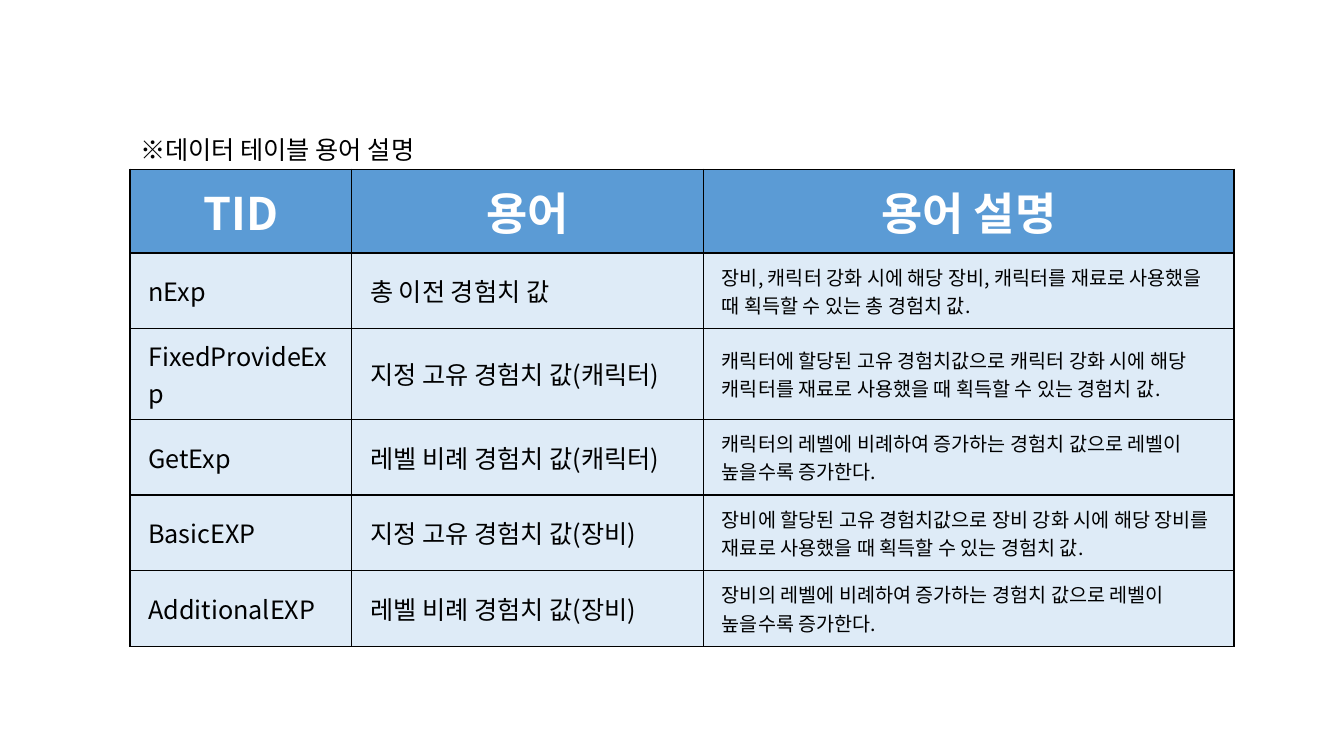
from lxml.etree import SubElement
from pptx import Presentation
from pptx.dml.color import RGBColor
from pptx.enum.text import MSO_ANCHOR as Anchor, MSO_AUTO_SIZE as AutoSize, PP_ALIGN as Align
from pptx.oxml.ns import qn
from pptx.util import Inches, Pt

FONT = "Noto Sans CJK KR"
BLACK, WHITE, HEADER_BLUE, PALE_BLUE = "000000", "FFFFFF", "5B9BD5", "DEEBF7"
COLUMN_WIDTHS = (2.2, 3.49, 5.26)
ROW_HEIGHTS = (0.83, 0.75, 0.9, 0.75, 0.75, 0.75)
HEADINGS = ("TID", "용어", "용어 설명")
TERMS = (
    ("nExp", "총 이전 경험치 값",
     "장비, 캐릭터 강화 시에 해당 장비, 캐릭터를 재료로 사용했을 때 획득할 수 있는 총 경험치 값."),
    ("FixedProvideExp", "지정 고유 경험치 값(캐릭터)",
     "캐릭터에 할당된 고유 경험치값으로 캐릭터 강화 시에 해당 캐릭터를 재료로 사용했을 때 획득할 수 있는 경험치 값."),
    ("GetExp", "레벨 비례 경험치 값(캐릭터)",
     "캐릭터의 레벨에 비례하여 증가하는 경험치 값으로 레벨이 높을수록 증가한다."),
    ("BasicEXP", "지정 고유 경험치 값(장비)",
     "장비에 할당된 고유 경험치값으로 장비 강화 시에 해당 장비를 재료로 사용했을 때 획득할 수 있는 경험치 값."),
    ("AdditionalEXP", "레벨 비례 경험치 값(장비)",
     "장비의 레벨에 비례하여 증가하는 경험치 값으로 레벨이 높을수록 증가한다."),
)


def color(hex_code):
    """Turn a hex string into a colour."""
    return RGBColor.from_string(hex_code)


def add_text(paragraph, text, size, hex_code, bold=False, align=Align.LEFT):
    """Add one formatted run to a paragraph."""
    paragraph.alignment = align
    run = paragraph.add_run()
    run.text = text
    run.font.size = Pt(size)
    run.font.bold = bold
    run.font.name = FONT
    run.font.color.rgb = color(hex_code)


def add_borders(cell):
    """Draw a thin black line on each side of a cell."""
    properties = cell._tc.get_or_add_tcPr()
    for index, side in enumerate(("lnL", "lnR", "lnT", "lnB")):
        line = properties.makeelement(qn(f"a:{side}"), {"w": str(Pt(1))})
        fill = SubElement(line, qn("a:solidFill"))
        SubElement(fill, qn("a:srgbClr"), val=BLACK)
        properties.insert(index, line)


def fill_cell(cell, text, fill, size, hex_code, bold, align):
    """Format one cell and write its text."""
    cell.fill.solid()
    cell.fill.fore_color.rgb = color(fill)
    add_borders(cell)
    cell.vertical_anchor = Anchor.MIDDLE
    cell.margin_left = cell.margin_right = Inches(0.18)
    cell.margin_top = cell.margin_bottom = Inches(0.09)
    add_text(cell.text_frame.paragraphs[0], text, size, hex_code, bold, align)


def place_caption(slide, left, top, width, height):
    """Place the slide title as a caption in the given box."""
    caption = slide.shapes.title
    caption.left, caption.top = Inches(left), Inches(top)
    caption.width, caption.height = Inches(width), Inches(height)
    frame = caption.text_frame
    frame.word_wrap = True
    frame.auto_size = AutoSize.SHAPE_TO_FIT_TEXT
    frame.vertical_anchor = Anchor.TOP
    add_text(frame.paragraphs[0], "※데이터 테이블 용어 설명", 18, BLACK)


def place_glossary(slide, left, top):
    """Build the glossary table from its top left corner."""
    rows = (HEADINGS, *TERMS)
    glossary = slide.shapes.add_table(
        len(rows), len(HEADINGS), Inches(left), Inches(top),
        Inches(sum(COLUMN_WIDTHS)), Inches(sum(ROW_HEIGHTS))).table
    glossary.horz_banding = False
    for column, width in zip(glossary.columns, COLUMN_WIDTHS):
        column.width = Inches(width)
    for row, height in zip(glossary.rows, ROW_HEIGHTS):
        row.height = Inches(height)
    for row_index, entries in enumerate(rows):
        for column_index, text in enumerate(entries):
            cell = glossary.cell(row_index, column_index)
            if row_index == 0:
                fill_cell(cell, text, HEADER_BLUE, 32, WHITE, True, Align.CENTER)
            else:
                size = 14 if column_index == 2 else 18
                fill_cell(cell, text, PALE_BLUE, size, BLACK, False, Align.LEFT)


def main():
    """Build and save the glossary slide."""
    deck = Presentation()
    deck.slide_width, deck.slide_height = Inches(13.33), Inches(7.5)
    slide = deck.slides.add_slide(deck.slide_layouts[5])
    place_glossary(slide, 1.29, 1.68)
    place_caption(slide, 1.29, 1.28, 6.58, 0.4)
    deck.save("out.pptx")


if __name__ == "__main__":
    main()
